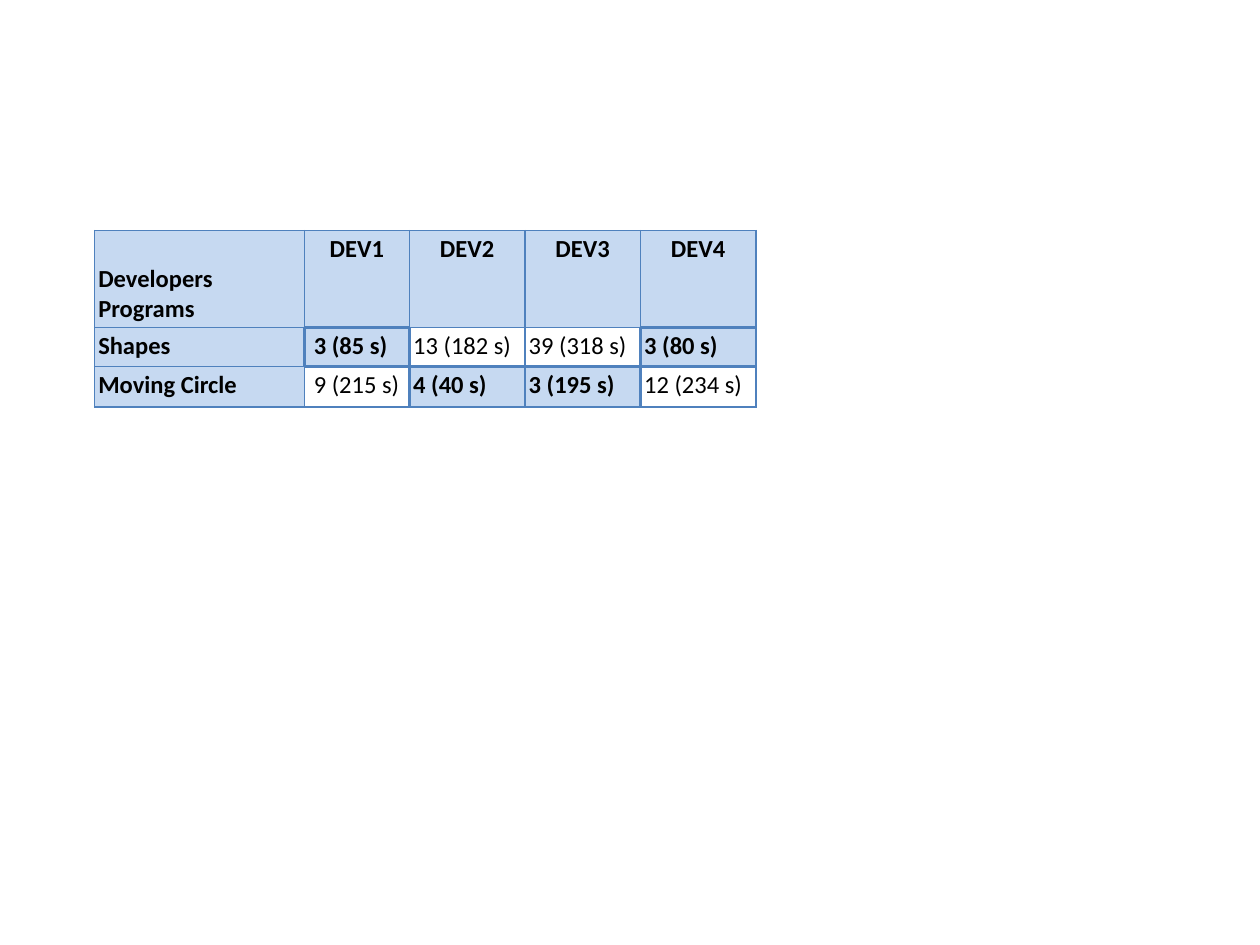
from typing import NamedTuple

from lxml import etree
from pptx import Presentation
from pptx.dml.color import RGBColor
from pptx.enum.text import MSO_ANCHOR, PP_ALIGN
from pptx.oxml.ns import qn
from pptx.util import Inches, Pt

TOP, BOTTOM = MSO_ANCHOR.TOP, MSO_ANCHOR.BOTTOM
LEFT, CENTER = PP_ALIGN.LEFT, PP_ALIGN.CENTER

BLUE, LIGHT_BLUE, WHITE, BLACK = "4F81BD", "C6D9F1", "FFFFFF", "000000"
THIN, THICK = 1, 1.5

# Table grid: columns in twelfths of an inch, rows in inches
UNIT = 1 / 12
COLUMN_UNITS = (20, 10, 11, 11, 11)
ROW_HEIGHTS = (0.77, 0.31, 0.32)
TABLE_LEFT, TABLE_TOP = 0.75, 1.83
CELL_MARGIN = 0.03

# Border element -> row and column step to the neighbour on that side
SIDES = {"a:lnL": (0, -1), "a:lnR": (0, 1), "a:lnT": (-1, 0), "a:lnB": (1, 0)}


class Entry(NamedTuple):
    text: str
    heading: bool = False
    best: bool = False
    align: PP_ALIGN = LEFT
    anchor: MSO_ANCHOR = TOP


ROWS = (
    (Entry("Developers\nPrograms", heading=True, anchor=BOTTOM),
     *(Entry(f"DEV{number}", heading=True, align=CENTER) for number in range(1, 5))),
    (Entry("Shapes", heading=True), Entry(" 3 (85 s)", best=True),
     Entry("13 (182 s)"), Entry("39 (318 s)"), Entry("3 (80 s)", best=True)),
    (Entry("Moving Circle", heading=True), Entry(" 9 (215 s)"),
     Entry("4 (40 s)", best=True), Entry("3 (195 s)", best=True), Entry("12 (234 s)")),
)


def color(value: str) -> RGBColor:
    return RGBColor.from_string(value)


def is_best(row: int, column: int) -> bool:
    inside = 0 <= row < len(ROWS) and 0 <= column < len(COLUMN_UNITS)
    return inside and ROWS[row][column].best


def draw_borders(cell, row: int, column: int) -> None:
    """Edges that touch a best result are thick, all others thin."""
    properties = cell._tc.get_or_add_tcPr()
    for tag, (down, across) in SIDES.items():
        thick = is_best(row, column) or is_best(row + down, column + across)
        line = etree.SubElement(properties, qn(tag), w=str(Pt(THICK if thick else THIN)))
        fill = etree.SubElement(line, qn("a:solidFill"))
        etree.SubElement(fill, qn("a:srgbClr"), val=BLUE)


def fill_cell(cell, entry: Entry) -> None:
    shaded = entry.heading or entry.best
    cell.fill.solid()
    cell.fill.fore_color.rgb = color(LIGHT_BLUE if shaded else WHITE)
    cell.margin_left = cell.margin_right = Inches(CELL_MARGIN)
    cell.margin_top = cell.margin_bottom = Inches(CELL_MARGIN)
    cell.vertical_anchor = entry.anchor
    cell.text_frame.text = entry.text
    for paragraph in cell.text_frame.paragraphs:
        paragraph.alignment = entry.align
        font = paragraph.font
        font.name, font.size, font.bold = "Calibri", Pt(14), shaded
        font.color.rgb = color(BLACK)


def draw_table(slide) -> None:
    frame = slide.shapes.add_table(
        len(ROWS), len(COLUMN_UNITS), Inches(TABLE_LEFT), Inches(TABLE_TOP),
        Inches(sum(COLUMN_UNITS) * UNIT), Inches(sum(ROW_HEIGHTS)))
    table = frame.table
    table.horz_banding = False
    for column, units in zip(table.columns, COLUMN_UNITS):
        column.width = Inches(units * UNIT)
    for row, height in zip(table.rows, ROW_HEIGHTS):
        row.height = Inches(height)
    for row, entries in enumerate(ROWS):
        for column, entry in enumerate(entries):
            cell = table.cell(row, column)
            draw_borders(cell, row, column)
            fill_cell(cell, entry)


def main() -> None:
    deck = Presentation()
    deck.slide_width, deck.slide_height = Inches(10), Inches(7.5)
    blank_layout = deck.slide_layouts[6]
    draw_table(deck.slides.add_slide(blank_layout))
    deck.save("out.pptx")


if __name__ == "__main__":
    main()
